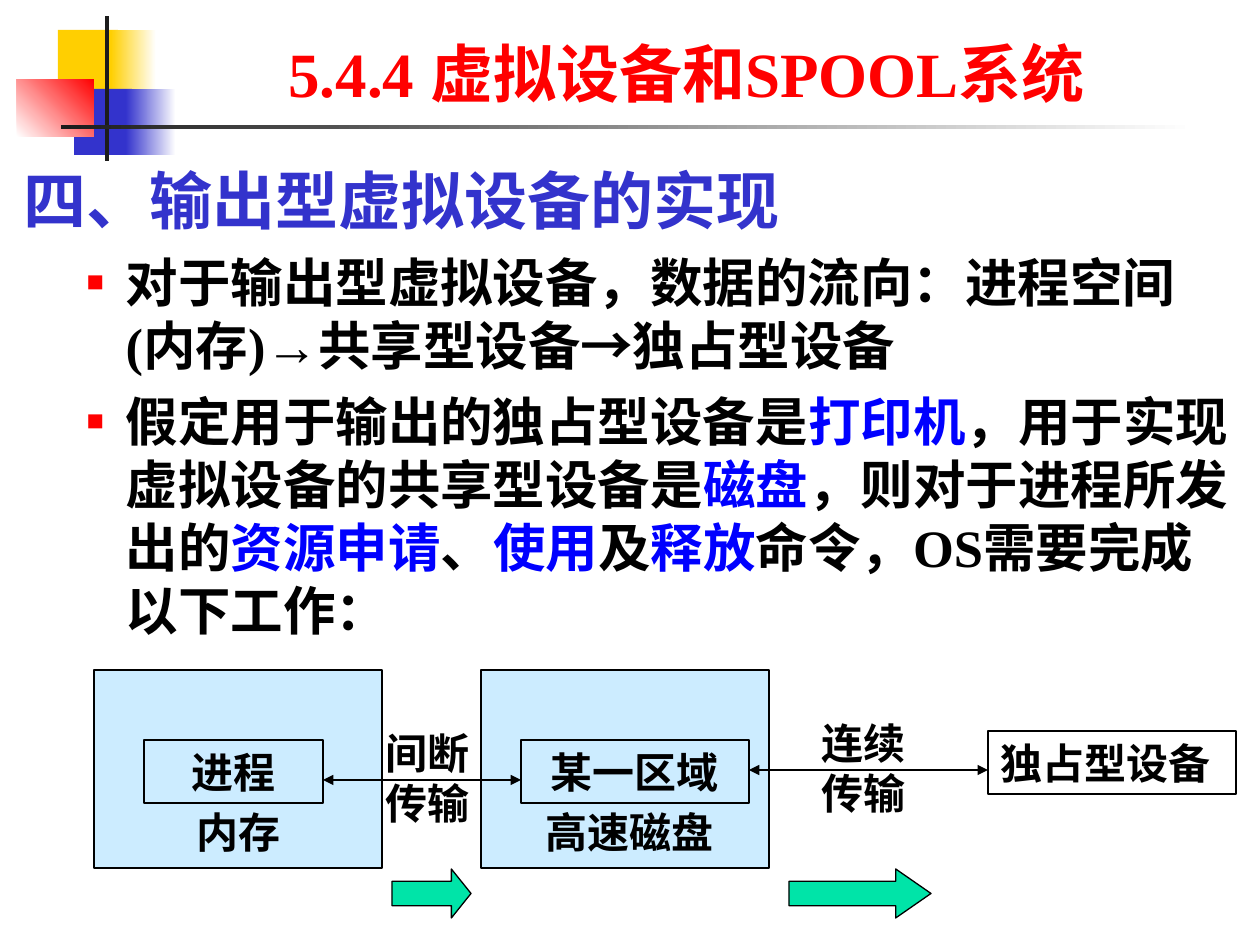
from lxml import etree
from pptx import Presentation
from pptx import util as u
from pptx.dml.color import RGBColor
from pptx.enum import shapes, text
from pptx.oxml import ns

SCALE = 914400 / 126
LATIN, CHINESE = "Times New Roman", "Noto Sans CJK SC"
BLACK = RGBColor(0x00, 0x00, 0x00)
WHITE = RGBColor(0xFF, 0xFF, 0xFF)
RED = RGBColor(0xFF, 0x00, 0x00)
YELLOW = RGBColor(0xFF, 0xCF, 0x01)
INDIGO = RGBColor(0x33, 0x33, 0xCC)
BLUE = RGBColor(0x00, 0x00, 0xFF)
CHARCOAL = RGBColor(0x1C, 0x1C, 0x1C)
PALE_BLUE = RGBColor(0xCC, 0xEC, 0xFF)
GREEN = RGBColor(0x00, 0xE4, 0xA8)

# Parts marked True are highlighted in blue.
BULLETS = [
    [("对于输出型虚拟设备，数据的流向：进程空间(内存)→共享型设备→独占型设备", False)],
    [("假定用于输出的独占型设备是", False), ("打印机", True),
     ("，用于实现虚拟设备的共享型设备是", False), ("磁盘", True),
     ("，则对于进程所发出的", False), ("资源申请", True), ("、", False),
     ("使用", True), ("及", False), ("释放", True),
     ("命令，OS需要完成以下工作：", False)],
]


def px(value):
    return u.Emu(round(value * SCALE))


def add_xml(parent, tag, **attributes):
    return etree.SubElement(parent, ns.qn(tag), attributes)


def style(paragraph, size, color, latin=LATIN):
    """Set a bold font and a line pitch of 1.2 times its size."""
    paragraph.line_spacing = u.Pt(size * 1.2)
    font = paragraph.font
    font.size, font.bold, font.name = u.Pt(size), True, latin
    font.color.rgb = color
    add_xml(paragraph._p.pPr.find(ns.qn("a:defRPr")), "a:ea", typeface=CHINESE)


def place(shape, left, top, width, height):
    shape.left, shape.top = px(left), px(top)
    shape.width, shape.height = px(width), px(height)
    frame = shape.text_frame
    frame.word_wrap = True
    frame.auto_size = text.MSO_AUTO_SIZE.NONE
    return frame


def add_box(slide, bounds, fill=None, line=BLACK, kind=shapes.MSO_SHAPE.RECTANGLE):
    shape = slide.shapes.add_shape(kind, *map(px, bounds))
    shape.shadow.inherit = False
    if fill is None:
        shape.fill.background()
    else:
        shape.fill.solid()
        shape.fill.fore_color.rgb = fill
    if line is None:
        shape.line.fill.background()
    else:
        shape.line.color.rgb = line
        shape.line.width = u.Pt(0.75)
    return shape


def add_gradient(slide, bounds, start, end, angle=0):
    fill = add_box(slide, bounds, line=None).fill
    fill.gradient()
    fill.gradient_angle = angle
    for stop, color, position in zip(fill.gradient_stops, (start, end), (0, 1)):
        stop.color.rgb = color
        stop.position = position


def add_label(slide, bounds, words, align=text.PP_ALIGN.CENTER, framed=False):
    if framed:
        shape = add_box(slide, bounds)
    else:
        shape = slide.shapes.add_textbox(*map(px, bounds))
    frame = place(shape, *bounds)
    frame.vertical_anchor = text.MSO_ANCHOR.TOP
    paragraph = frame.paragraphs[0]
    paragraph.text = words
    paragraph.alignment = align
    style(paragraph, 24, BLACK, CHINESE)


def add_double_arrow(slide, left, right, y):
    line = slide.shapes.add_connector(
        shapes.MSO_CONNECTOR.STRAIGHT, px(left), px(y), px(right), px(y))
    line.line.color.rgb = BLACK
    line.line.width = u.Pt(0.75)
    outline = line.line._get_or_add_ln()
    for end in ("a:headEnd", "a:tailEnd"):
        add_xml(outline, end, type="triangle")
    add_xml(line._element.spPr, "a:effectLst")


def add_block_arrow(slide, left, width, head):
    arrow = add_box(slide, (left, 869, width, 49), GREEN,
                    kind=shapes.MSO_SHAPE.RIGHT_ARROW)
    arrow.adjustments[0] = 0.5
    arrow.adjustments[1] = head


def add_decoration(slide):
    add_box(slide, (58, 30, 60, 66), YELLOW, None)
    add_gradient(slide, (111, 30, 45, 66), YELLOW, WHITE)
    add_box(slide, (74, 89, 58, 66), INDIGO, None)
    add_gradient(slide, (126, 89, 50, 66), INDIGO, WHITE)
    add_gradient(slide, (17, 79, 77, 58), WHITE, RED, 45)
    add_box(slide, (105, 16, 4, 145), CHARCOAL, None)
    add_gradient(slide, (61, 125, 1134, 4), CHARCOAL, WHITE)


def fill_title(slide):
    frame = place(slide.shapes.title, 199, 16, 975, 100)
    frame.vertical_anchor = text.MSO_ANCHOR.BOTTOM
    paragraph = frame.paragraphs[0]
    paragraph.text = "5.4.4 虚拟设备和SPOOL系统"
    paragraph.alignment = text.PP_ALIGN.CENTER
    style(paragraph, 36, RED)


def set_indent(paragraph, margin, indent):
    properties = paragraph._p.get_or_add_pPr()
    properties.set("marL", str(px(margin)))
    properties.set("indent", str(px(indent)))
    return properties


def add_bullet(frame, parts):
    paragraph = frame.add_paragraph()
    paragraph.level = 1
    paragraph.space_before = u.Pt(7.5)
    properties = set_indent(paragraph, 102, -39)
    add_xml(add_xml(properties, "a:buClr"), "a:srgbClr", val=str(RED))
    add_xml(properties, "a:buSzPct", val="55000")
    add_xml(properties, "a:buFont", typeface=LATIN)
    add_xml(properties, "a:buChar", char="■")
    style(paragraph, 30, BLACK)
    for words, highlighted in parts:
        run = paragraph.add_run()
        run.text = words
        if highlighted:
            run.font.color.rgb = BLUE


def fill_body(slide):
    frame = place(slide.placeholders[1], 11, 155, 1234, 690)
    heading = frame.paragraphs[0]
    heading.text = "四、输出型虚拟设备的实现"
    heading.space_before = u.Pt(0)
    add_xml(set_indent(heading, 48, -48), "a:buNone")
    style(heading, 36, INDIGO)
    for parts in BULLETS:
        add_bullet(frame, parts)


def add_diagram(slide):
    left = text.PP_ALIGN.LEFT
    for x in (94, 481):
        add_box(slide, (x, 670, 288, 198), PALE_BLUE)
    add_label(slide, (144, 740, 179, 63), "进程", framed=True)
    add_label(slide, (184, 800, 179, 63), "内存", left)
    add_label(slide, (521, 740, 228, 63), "某一区域", framed=True)
    add_label(slide, (511, 800, 238, 63), "高速磁盘")
    add_label(slide, (988, 731, 248, 63), "独占型设备", left, framed=True)
    add_double_arrow(slide, 323, 521, 780)
    add_double_arrow(slide, 749, 988, 770)
    add_label(slide, (373, 721, 128, 113), "间断传输", left)
    add_label(slide, (809, 711, 128, 113), "连续传输", left)
    add_block_arrow(slide, 392, 79, 0.4)
    add_block_arrow(slide, 789, 142, 0.72)


def main():
    presentation = Presentation()
    presentation.slide_width, presentation.slide_height = px(1260), px(945)
    slide = presentation.slides.add_slide(presentation.slide_layouts[1])
    add_decoration(slide)
    fill_title(slide)
    fill_body(slide)
    add_diagram(slide)
    presentation.save("out.pptx")


if __name__ == "__main__":
    main()
